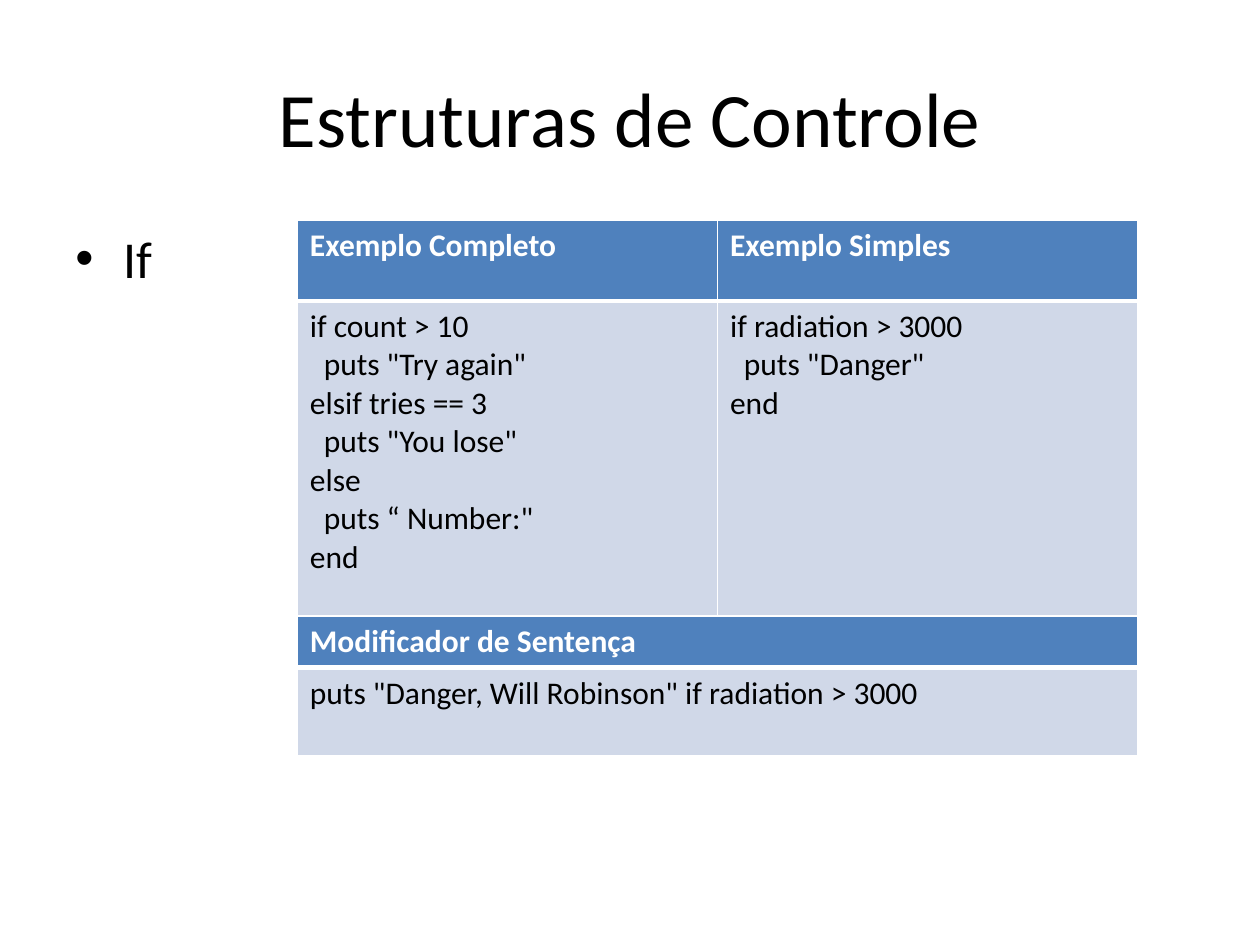
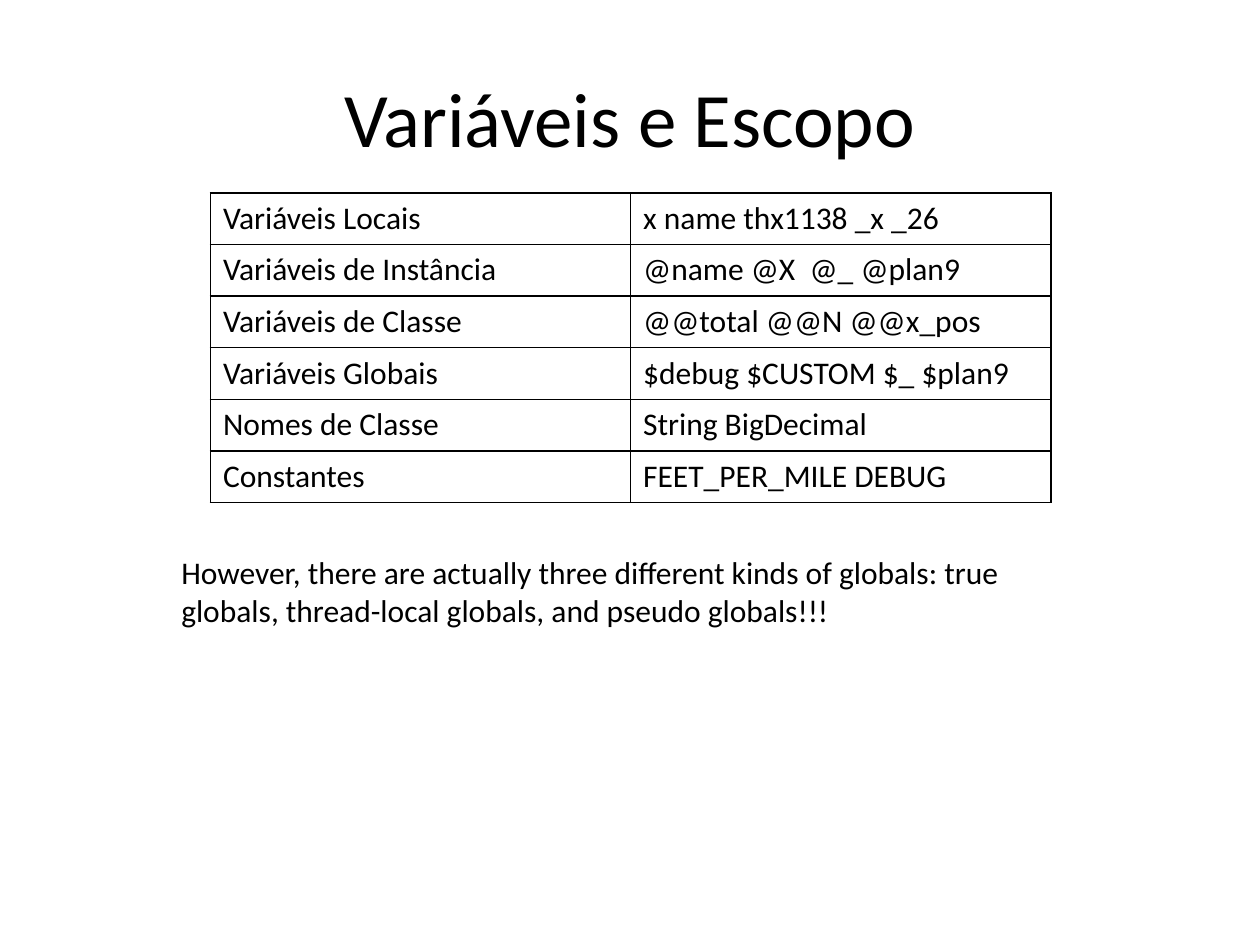
from lxml import etree
from pptx import Presentation
from pptx import util as u
from pptx.dml.color import RGBColor
from pptx.enum import text
from pptx.oxml.ns import qn

COLORS = {"ink": "000000", "paper": "FFFFFF", "head": "4F81BD", "cell": "D0D8E8"}
FONT = "Calibri"
SIDES = ("L", "R", "T", "B")


class Deck:
    def __init__(self):
        self.prs = Presentation()
        self.prs.slide_width = u.Inches(10)
        self.prs.slide_height = u.Inches(7.5)
        self.slide = None

    def style(self, para, size=18, color="ink", bold=False):
        font = para.font
        font.name, font.size, font.bold = FONT, u.Pt(size), bold
        font.color.rgb = RGBColor.from_string(COLORS[color])

    def indent(self, para, left, first=0):
        props = para._p.get_or_add_pPr()
        props.set("marL", str(u.Inches(left)))
        props.set("indent", str(u.Inches(first)))
        return props

    def text(self, words, box, size=18):
        shape = self.slide.shapes.add_textbox(*map(u.Inches, box))
        frame = shape.text_frame
        frame.word_wrap = True
        para = frame.paragraphs[0]
        para.text = words
        self.style(para, size)
        return frame

    def page(self, title):
        """Add a blank slide with the shared title."""
        self.slide = self.prs.slides.add_slide(self.prs.slide_layouts[6])
        frame = self.text(title, (0.5, 0.3, 9, 1.25), 44)
        frame.vertical_anchor = text.MSO_ANCHOR.MIDDLE
        frame.paragraphs[0].alignment = text.PP_ALIGN.CENTER

    def bullet(self, words, box, size):
        para = self.text(words, box, size).paragraphs[0]
        props = self.indent(para, 0.38, -0.38)
        font = etree.Element(qn("a:buFont"), typeface="Arial")
        mark = etree.Element(qn("a:buChar"), char="•")
        props.insert(0, font)
        font.addnext(mark)

    def border(self, cell, color, widths):
        """Draw the cell's left, right, top and bottom lines."""
        props = cell._tc.get_or_add_tcPr()
        for spot, (side, width) in enumerate(zip(SIDES, widths)):
            line = etree.Element(qn(f"a:ln{side}"), w=str(u.Pt(width)))
            fill = etree.SubElement(line, qn("a:solidFill"))
            etree.SubElement(fill, qn("a:srgbClr"), val=COLORS[color])
            props.insert(spot, line)

    def fill(self, cell, lines, color="ink", bold=False):
        """Write lines into a cell; leading spaces become an indent."""
        frame = cell.text_frame
        for num, line in enumerate(lines):
            para = frame.add_paragraph() if num else frame.paragraphs[0]
            para.text = line.lstrip()
            self.style(para, color=color, bold=bold)
            if line.startswith(" "):
                self.indent(para, 0.11)

    def table(self, rows, left, top, heights, banded):
        """Add a table; banded gives a blue head over pale cells."""
        count, width = len(rows[0]), 6.67
        frame = self.slide.shapes.add_table(
            len(rows), count, u.Inches(left), u.Inches(top),
            u.Inches(width), u.Inches(sum(heights)))
        grid = frame.table
        grid.first_row = grid.horz_banding = False
        for col in grid.columns:
            col.width = u.Inches(width / count)
        for num, (row, high) in enumerate(zip(rows, heights)):
            grid.rows[num].height = u.Inches(high)
            for col, words in enumerate(row):
                cell = grid.cell(num, col)
                head = banded and num == 0
                self.fill(cell, words.split("\n"),
                          "paper" if head else "ink", head)
                if banded:
                    cell.fill.solid()
                    tone = COLORS["head" if head else "cell"]
                    cell.fill.fore_color.rgb = RGBColor.from_string(tone)
                    widths = (1, 1, 1, 3) if head else (1, 1, 3, 1)
                    self.border(cell, "paper", widths)
                else:
                    cell.fill.background()
                    self.border(cell, "ink", (1, 1, 1, 1))


FULL = """if count > 10
  puts "Try again"
elsif tries == 3
  puts "You lose"
else
  puts “ Number:"
end"""

SIMPLE = """if radiation > 3000
  puts "Danger"
end"""

SCOPES = [
    ("Variáveis Locais", "x name thx1138 _x _26"),
    ("Variáveis de Instância", "@name @X  @_ @plan9"),
    ("Variáveis de Classe", "@@total @@N @@x_pos"),
    ("Variáveis Globais", "$debug $CUSTOM $_ $plan9"),
    ("Nomes de Classe", "String BigDecimal"),
    ("Constantes", "FEET_PER_MILE DEBUG"),
]


def main():
    deck = Deck()

    deck.page("Estruturas de Controle")
    deck.bullet("If", (0.5, 1.75, 9, 1.04), 29.6)
    deck.table([("Exemplo Completo", "Exemplo Simples"), (FULL, SIMPLE)],
               2.36, 1.75, (0.64, 2.5), True)
    deck.table([("Modificador de Sentença",),
                ('puts "Danger, Will Robinson" if radiation > 3000',)],
               2.36, 4.89, (0.41, 0.7), True)

    deck.page("Variáveis e Escopo")
    deck.table(SCOPES, 1.67, 1.53, [0.41] * len(SCOPES), False)
    deck.text("However, there are actually three different kinds of globals: "
              "true globals, thread-local globals, and pseudo globals!!!",
              (1.34, 4.34, 7.51, 0.71))

    deck.prs.save("out.pptx")


if __name__ == "__main__":
    main()
